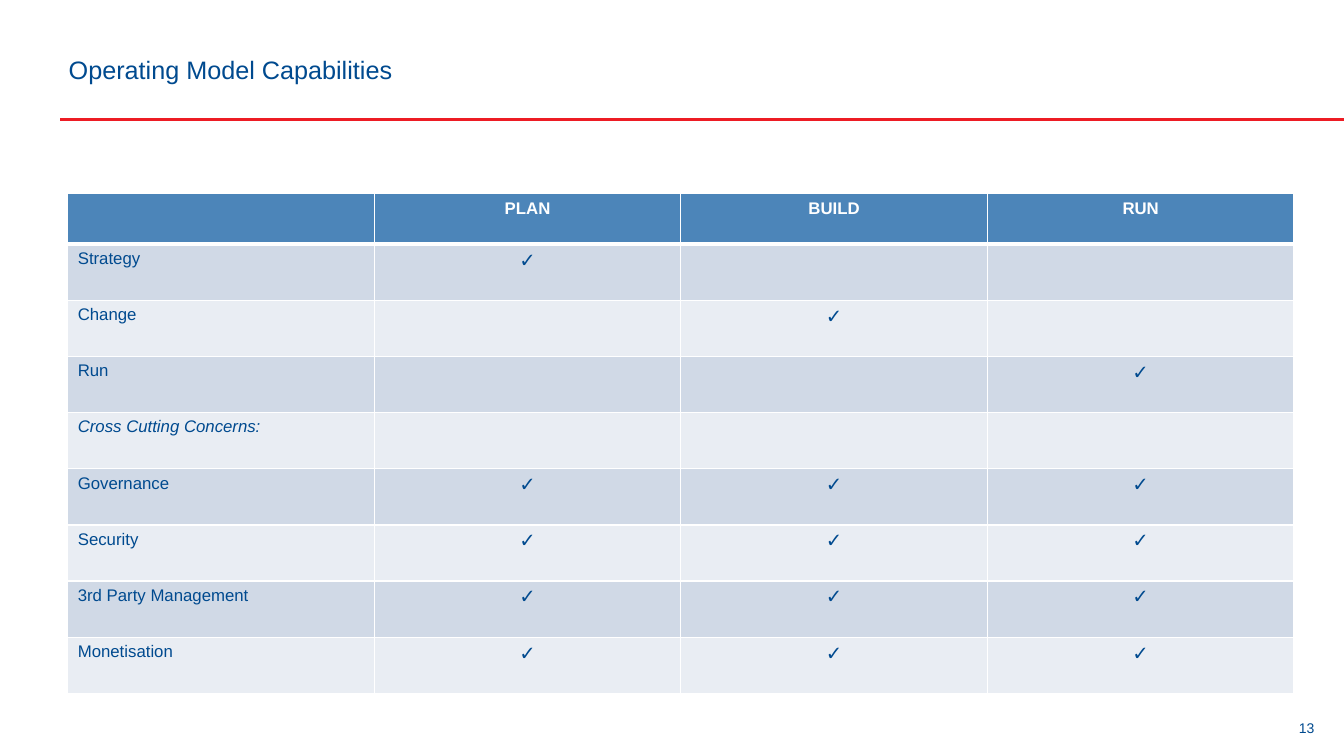
from dataclasses import dataclass

from lxml import etree
from pptx import Presentation
from pptx.dml.color import RGBColor
from pptx.enum import shapes, text
from pptx.oxml.ns import qn
from pptx import util as u

PX = u.Inches(1) / 192
NAVY, RED, WHITE = "004A8F", "ED1C24", "FFFFFF"
HEADER_FILL, BANDS = "4C85B9", ("D0D9E6", "E9EDF3")
CENTER = text.PP_ALIGN.CENTER
PHASES = ("PLAN", "BUILD", "RUN")


@dataclass(frozen=True)
class Capability:
    name: str
    phases: tuple[str, ...] = PHASES
    italic: bool = False


@dataclass(frozen=True)
class Label:
    words: str
    box: tuple[int, int, int, int]
    size: int
    side_inset: int
    align: text.PP_ALIGN


CAPABILITIES = (
    Capability("Strategy", ("PLAN",)),
    Capability("Change", ("BUILD",)),
    Capability("Run", ("RUN",)),
    Capability("Cross Cutting Concerns:", (), italic=True),
    Capability("Governance"),
    Capability("Security"),
    Capability("3rd Party Management"),
    Capability("Monetisation"),
)
LABELS = (
    Label("Operating Model Capabilities", (108, 40, 2325, 184), 18, 23, text.PP_ALIGN.LEFT),
    Label("13", (2438, 1321, 102, 129), 10, 19, CENTER),
)


def px(n: int) -> u.Emu:
    return u.Emu(round(n * PX))


def rgb(value: str) -> RGBColor:
    return RGBColor.from_string(value)


def write(p, words: str, size: int, color: str = NAVY, align=None, **style) -> None:
    p.alignment = align
    r = p.add_run()
    r.text = words
    r.font.color.rgb = rgb(color)
    for key, value in {"name": "Arial", "size": u.Pt(size), **style}.items():
        setattr(r.font, key, value)


def add_label(s, label: Label) -> None:
    tf = s.shapes.add_textbox(*map(px, label.box)).text_frame
    frame = {
        "word_wrap": True,
        "vertical_anchor": text.MSO_ANCHOR.MIDDLE,
        "margin_left": px(label.side_inset),
        "margin_right": px(label.side_inset),
    }
    for key, value in frame.items():
        setattr(tf, key, value)
    write(tf.paragraphs[0], label.words, label.size, align=label.align)


def add_rule(s) -> None:
    line = s.shapes.add_connector(
        shapes.MSO_CONNECTOR.STRAIGHT, px(115), px(227), px(2560), px(227))
    line.line.color.rgb = rgb(RED)
    line.line.width = u.Pt(2)
    etree.SubElement(line._element.spPr, qn("a:effectLst"))


def paint_cell(cell, fill: str, top: int = 1, bottom: int = 1) -> None:
    # Borders come before the fill in the cell properties
    tc_pr = cell._tc.get_or_add_tcPr()
    for side, width in {"L": 1, "R": 1, "T": top, "B": bottom}.items():
        ln = etree.SubElement(tc_pr, qn(f"a:ln{side}"), w=str(u.Pt(width)))
        solid = etree.SubElement(ln, qn("a:solidFill"))
        etree.SubElement(solid, qn("a:srgbClr"), val=WHITE)
    cell.fill.solid()
    cell.fill.fore_color.rgb = rgb(fill)


def add_matrix(s) -> None:
    header_h, row_h, col_w = 96, 107, 584
    rows, cols = len(CAPABILITIES) + 1, len(PHASES) + 1
    table = s.shapes.add_table(
        rows, cols, px(129), px(369), px(col_w * cols),
        px(header_h + row_h * len(CAPABILITIES))).table
    for column in table.columns:
        column.width = px(col_w)
    for i, row in enumerate(table.rows):
        row.height = px(row_h if i else header_h)

    # Header row
    for j, phase in enumerate(("", *PHASES)):
        cell = table.cell(0, j)
        paint_cell(cell, HEADER_FILL, bottom=3)
        if phase:
            write(cell.text_frame.paragraphs[0], phase, 12, WHITE, CENTER, bold=True)

    # One banded row per capability
    for i, item in enumerate(CAPABILITIES, start=1):
        for j in range(cols):
            cell = table.cell(i, j)
            paint_cell(cell, BANDS[(i - 1) % 2], top=3 if i == 1 else 1)
            p = cell.text_frame.paragraphs[0]
            if j == 0:
                write(p, item.name, 12, bold=False, italic=item.italic)
            elif PHASES[j - 1] in item.phases:
                write(p, "✓", 14, align=CENTER, bold=True)


def main() -> None:
    prs = Presentation()
    prs.slide_width, prs.slide_height = px(2560), px(1440)
    s = prs.slides.add_slide(prs.slide_layouts[6])
    add_rule(s)
    for label in LABELS:
        add_label(s, label)
    add_matrix(s)
    prs.save("out.pptx")


if __name__ == "__main__":
    main()
